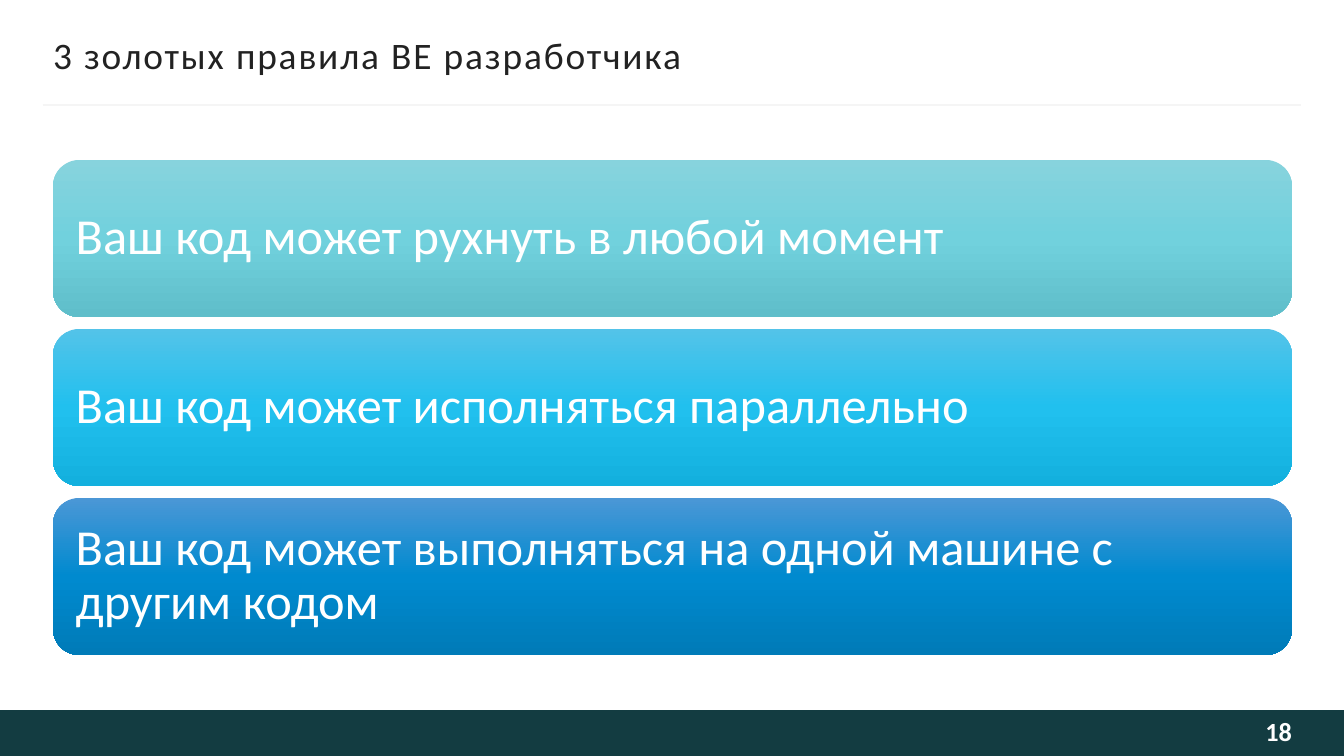
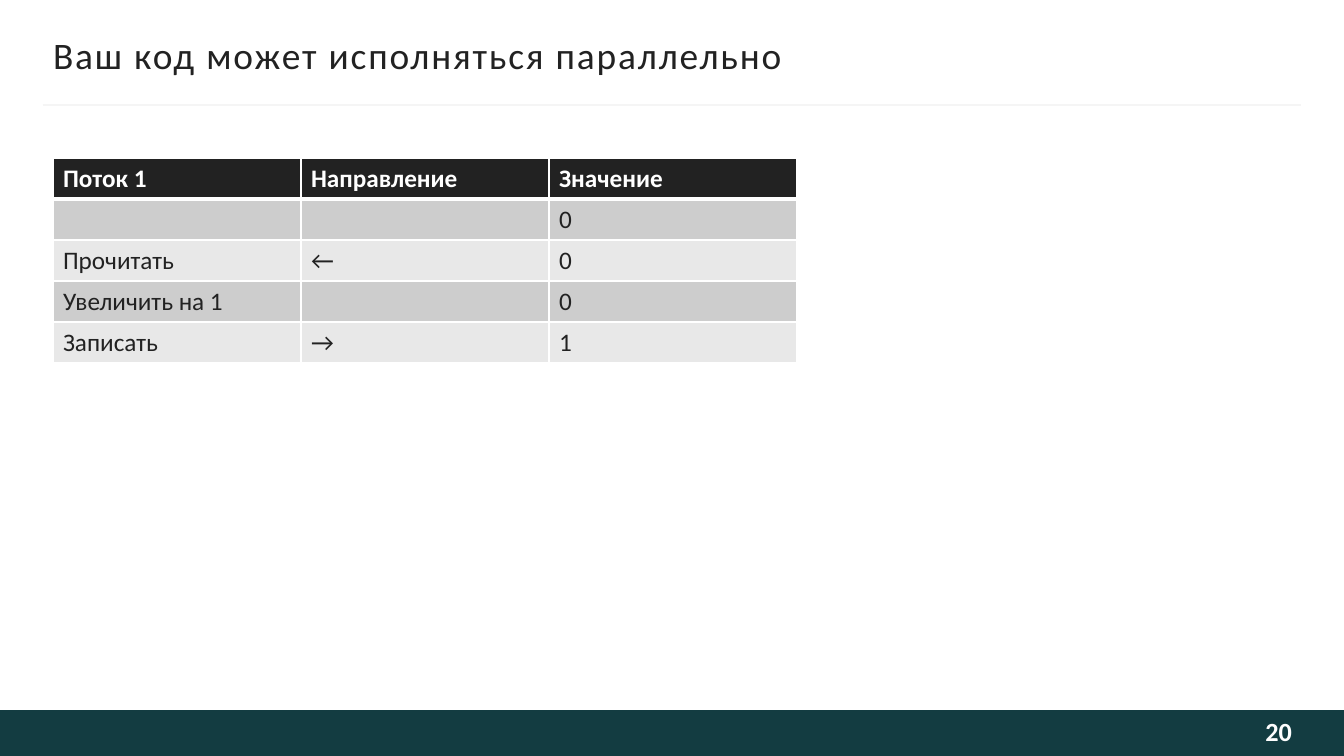
from copy import deepcopy

from lxml.etree import SubElement
from pptx import Presentation
from pptx.dml.color import RGBColor
from pptx.enum.shapes import MSO_CONNECTOR, MSO_SHAPE
from pptx.enum.text import MSO_ANCHOR, PP_ALIGN
from pptx.oxml.ns import qn
from pptx.util import Emu, Pt

# Slide grid: 1344 x 756 px on a 13.33 x 7.5 inch page
PAGE_WIDTH, PAGE_HEIGHT = 1344, 756
EMU_PER_PX = 12192000 / PAGE_WIDTH
LEFT, CONTENT_WIDTH = 53, 1239
BAND_TOP = 710

FONT = "Calibri"
INK = RGBColor(0x22, 0x22, 0x22)
WHITE = RGBColor(0xFF, 0xFF, 0xFF)
NUMBER_WHITE = RGBColor(0xFE, 0xFE, 0xFE)
BAND = RGBColor(0x13, 0x3C, 0x41)
RULE = RGBColor(0xF5, 0xF5, 0xF5)
ROW_DARK = RGBColor(0xCD, 0xCD, 0xCD)
ROW_LIGHT = RGBColor(0xE8, 0xE8, 0xE8)

# Top, middle and bottom colour of each card
TEAL = (RGBColor(0x87, 0xD3, 0xDD), RGBColor(0x71, 0xD1, 0xDD), RGBColor(0x5F, 0xBE, 0xCA))
CYAN = (RGBColor(0x53, 0xC3, 0xE9), RGBColor(0x21, 0xC0, 0xEE), RGBColor(0x13, 0xB0, 0xDE))
BLUE = (RGBColor(0x4B, 0x97, 0xD6), RGBColor(0x00, 0x8A, 0xCF), RGBColor(0x00, 0x7B, 0xB8))


def px(*lengths):
    return [Emu(round(length * EMU_PER_PX)) for length in lengths]


class Deck:
    """Holds the shared style and the slide being built."""

    def __init__(self):
        self.presentation = Presentation()
        width, height = px(PAGE_WIDTH, PAGE_HEIGHT)
        self.presentation.slide_width = width
        self.presentation.slide_height = height
        self.page = None

    def add_page(self, title, number):
        layout = self.presentation.slide_layouts[5]
        self.page = self.presentation.slides.add_slide(layout)
        self.band()
        self.rule()
        self.title(title)
        self.page_number(number)

    def set_text(self, frame, text, size, color, bold=False, align=PP_ALIGN.LEFT):
        para = frame.paragraphs[0]
        para.alignment = align
        font = para.font
        font.name, font.size, font.bold = FONT, Pt(size), bold
        font.color.rgb = color
        if text:
            para.add_run().text = text
        return para

    def frame(self, box, left, top, right, bottom):
        frame = box.text_frame
        frame.word_wrap = True
        frame.vertical_anchor = MSO_ANCHOR.MIDDLE
        (frame.margin_left, frame.margin_top,
         frame.margin_right, frame.margin_bottom) = px(left, top, right, bottom)
        return frame

    def shape(self, kind, left, top, width, height):
        shape = self.page.shapes.add_shape(kind, *px(left, top, width, height))
        shape.shadow.inherit = False
        shape.line.fill.background()
        return shape

    def band(self):
        band = self.shape(MSO_SHAPE.RECTANGLE, 0, BAND_TOP,
                          PAGE_WIDTH, PAGE_HEIGHT - BAND_TOP)
        band.fill.solid()
        band.fill.fore_color.rgb = BAND

    def rule(self):
        rule = self.page.shapes.add_connector(
            MSO_CONNECTOR.STRAIGHT, *px(43, 105, 1301, 105))
        rule.line.color.rgb = RULE
        rule.line.width = Pt(1.5)
        SubElement(rule._element.spPr, qn("a:effectLst"))

    def title(self, text):
        box = self.page.shapes.title
        box.left, box.top, box.width, box.height = px(LEFT, 33, CONTENT_WIDTH, 44)
        para = self.set_text(self.frame(box, 0, 5, 0, 5), text, 26.7, INK)
        for span in para.runs:
            span._r.get_or_add_rPr().set("spc", "130")

    def page_number(self, number):
        box = self.page.shapes.add_textbox(
            *px(1090, BAND_TOP, 202, PAGE_HEIGHT - BAND_TOP))
        self.set_text(self.frame(box, 10, 5, 0, 9), str(number), 18.7,
                      NUMBER_WHITE, bold=True, align=PP_ALIGN.RIGHT)

    def card(self, top, height, text, colors):
        card = self.shape(MSO_SHAPE.ROUNDED_RECTANGLE, LEFT, top, CONTENT_WIDTH, height)
        card.fill.gradient()
        card.fill.gradient_angle = 270
        stops = card._element.spPr.find(".//" + qn("a:gsLst"))
        stops.insert(1, deepcopy(stops[0]))
        for stop, color, position in zip(card.fill.gradient_stops, colors, (0, 0.5, 1)):
            stop.color.rgb = color
            stop.position = position
        para = self.set_text(self.frame(card, 15, 15, 15, 15), text, 36, WHITE)
        para.line_spacing = 0.9

    def borders(self, cell, top=1, bottom=1):
        properties = cell._tc.get_or_add_tcPr()
        for side, width in (("L", 1), ("R", 1), ("T", top), ("B", bottom)):
            line = SubElement(properties, qn(f"a:ln{side}"), w=str(int(Pt(width))))
            fill = SubElement(line, qn("a:solidFill"))
            SubElement(fill, qn("a:srgbClr"), val=str(WHITE))

    def table(self, left, top, column_width, row_height, rows):
        columns = len(rows[0])
        table = self.page.shapes.add_table(
            len(rows), columns,
            *px(left, top, column_width * columns, row_height * len(rows))).table
        table.horz_banding = False
        for row_index, row in enumerate(rows):
            header = row_index == 0
            if header:
                background = INK
            else:
                background = ROW_DARK if row_index % 2 else ROW_LIGHT
            for column_index, text in enumerate(row):
                cell = table.cell(row_index, column_index)
                self.borders(cell, top=3 if row_index == 1 else 1,
                             bottom=3 if header else 1)
                cell.fill.solid()
                cell.fill.fore_color.rgb = background
                self.set_text(cell.text_frame, text, 18,
                              WHITE if header else INK, bold=header)


def main():
    deck = Deck()

    # Three rules as stacked cards
    deck.add_page("3 золотых правила BE разработчика", 18)
    cards = [
        ("Ваш код может рухнуть в любой момент", TEAL),
        ("Ваш код может исполняться параллельно", CYAN),
        ("Ваш код может выполняться на одной машине с другим кодом", BLUE),
    ]
    card_height, gap = 157, 12
    for index, (text, colors) in enumerate(cards):
        deck.card(160 + index * (card_height + gap), card_height, text, colors)

    # One thread, step by step
    deck.add_page("Ваш код может исполняться параллельно", 20)
    deck.table(LEFT, 158, 248, 41, [
        ("Поток 1", "Направление", "Значение"),
        ("", "", "0"),
        ("Прочитать", "←", "0"),
        ("Увеличить на 1", "", "0"),
        ("Записать", "→", "1"),
    ])

    deck.presentation.save("out.pptx")


if __name__ == "__main__":
    main()
